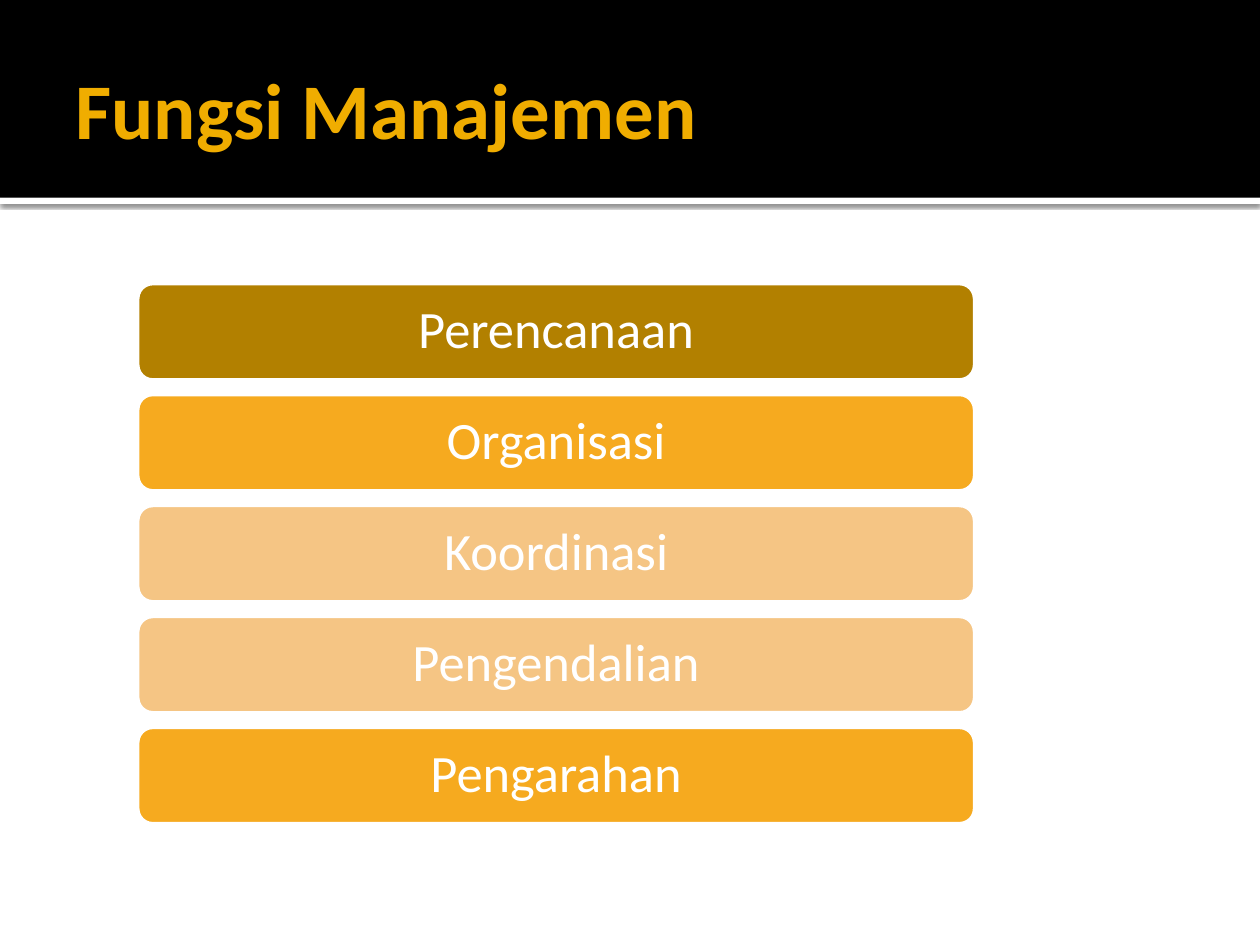
from lxml import etree
from pptx import Presentation
from pptx.dml.color import RGBColor
from pptx.enum import shapes, text
from pptx.oxml.ns import qn
from pptx.util import Pt

COLORS = {
    "black": "000000",
    "white": "FFFFFF",
    "gold": "F0AD00",
    "brown": "B28000",
    "orange": "F6AA1F",
    "peach": "F5C584",
}
FUNCTIONS = [
    ("Perencanaan", "brown"),
    ("Organisasi", "orange"),
    ("Koordinasi", "peach"),
    ("Pengendalian", "peach"),
    ("Pengarahan", "orange"),
]


def color(name):
    return RGBColor.from_string(COLORS[name])


def apply(target, values):
    for name, value in values.items():
        setattr(target, name, value)


def write(frame, words, size, ink, bold, align, insets):
    left, top, right, bottom = insets
    apply(frame, {
        "word_wrap": True,
        "auto_size": text.MSO_AUTO_SIZE.NONE,
        "vertical_anchor": text.MSO_ANCHOR.MIDDLE,
        "margin_left": Pt(left),
        "margin_top": Pt(top),
        "margin_right": Pt(right),
        "margin_bottom": Pt(bottom),
    })
    para = frame.paragraphs[0]
    para.alignment = align
    span = para.add_run()
    span.text = words
    apply(span.font, {"name": "Calibri", "size": Pt(size), "bold": bold})
    span.font.color.rgb = color(ink)
    return para


def add_block(page, kind, box, fill):
    block = page.shapes.add_shape(kind, *map(Pt, box))
    block.shadow.inherit = False
    block.fill.solid()
    block.fill.fore_color.rgb = color(fill)
    block.line.fill.background()
    return block


def add_shadow(block):
    effects = block.element.spPr.find(qn("a:effectLst"))
    shadow = etree.SubElement(
        effects, qn("a:outerShdw"), blurRad=str(Pt(2.5)), dist=str(Pt(0.8)),
        dir="5400000", algn="tl", rotWithShape="0")
    ink = etree.SubElement(shadow, qn("a:srgbClr"), val=COLORS["black"])
    etree.SubElement(ink, qn("a:alpha"), val="60000")


def draw_header(page, box, words):
    left, top, width, height = box
    rectangle = shapes.MSO_SHAPE.RECTANGLE
    strip = add_block(page, rectangle, (left, top + height, width, 3.6), "white")
    add_shadow(strip)
    add_block(page, rectangle, box, "black")

    title = page.shapes.title
    apply(title, {
        "left": Pt(left + 36),
        "top": Pt(top + 12.24),
        "width": Pt(width - 72),
        "height": Pt(98.64),
    })
    write(title.text_frame, words, 45, "gold", True,
          text.PP_ALIGN.LEFT, (7.2, 3.6, 3.6, 3.6))
    title.element.getparent().append(title.element)


def draw_functions(page, box, items, gap):
    left, top, width, height = box
    bar_height = (height - gap * (len(items) - 1)) / len(items)
    for index, (words, fill) in enumerate(items):
        bar_top = top + index * (bar_height + gap)
        bar = add_block(page, shapes.MSO_SHAPE.ROUNDED_RECTANGLE,
                        (left, bar_top, width, bar_height), fill)
        bar.line.color.rgb = color("white")
        bar.line.width = Pt(3.78)
        para = write(bar.text_frame, words, 30, "white", False,
                     text.PP_ALIGN.CENTER, (9, 9, 9, 9))
        para.line_spacing = 0.9


def main():
    deck = Presentation()
    apply(deck, {"slide_width": Pt(720), "slide_height": Pt(540)})
    page = deck.slides.add_slide(deck.slide_layouts[5])
    page.background.fill.solid()
    page.background.fill.fore_color.rgb = color("white")
    draw_header(page, (0, 0, 720, 113), "Fungsi Manajemen")
    draw_functions(page, (77.8, 161.2, 480, 310.4), FUNCTIONS, 6.6)
    deck.save("out.pptx")


if __name__ == "__main__":
    main()
